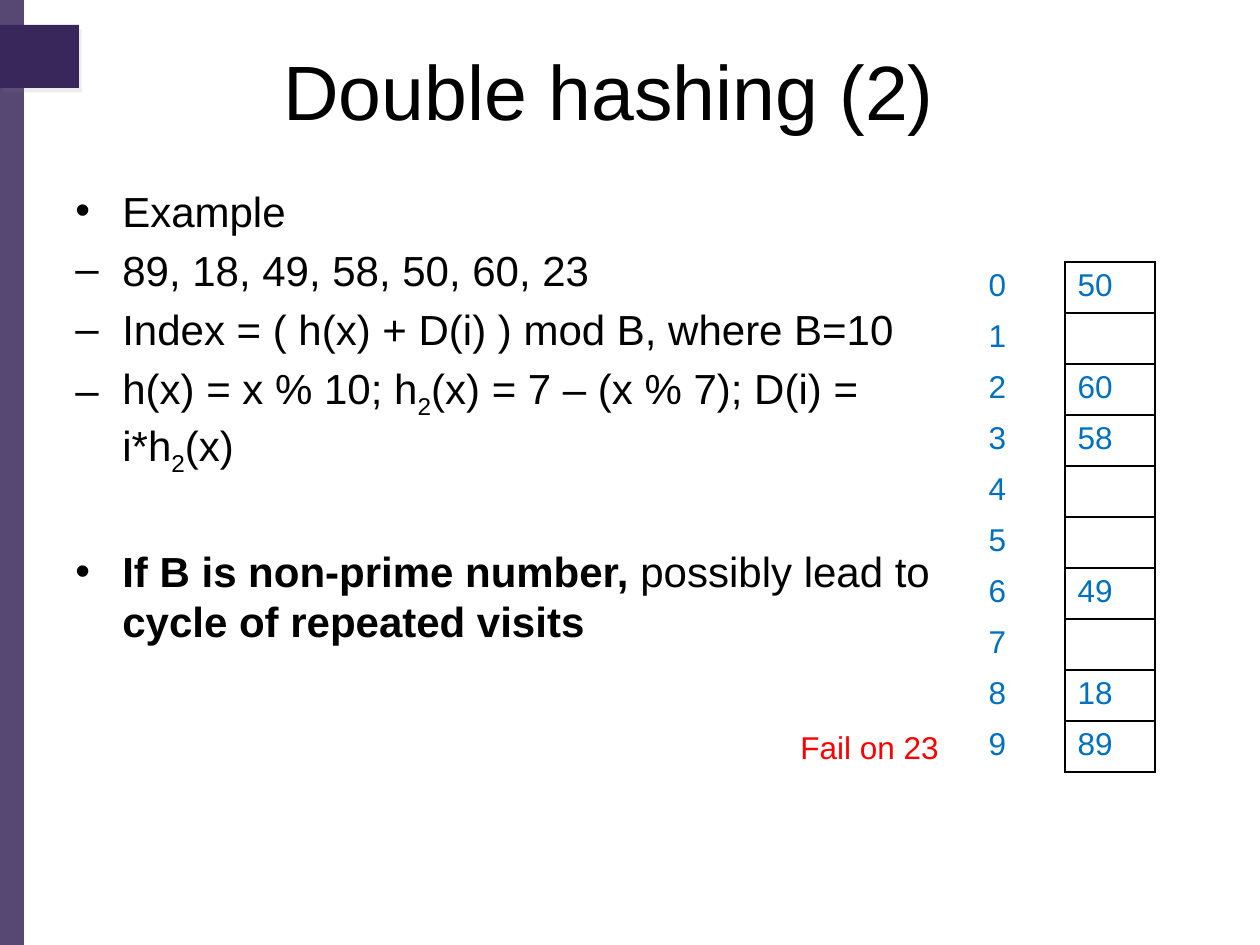
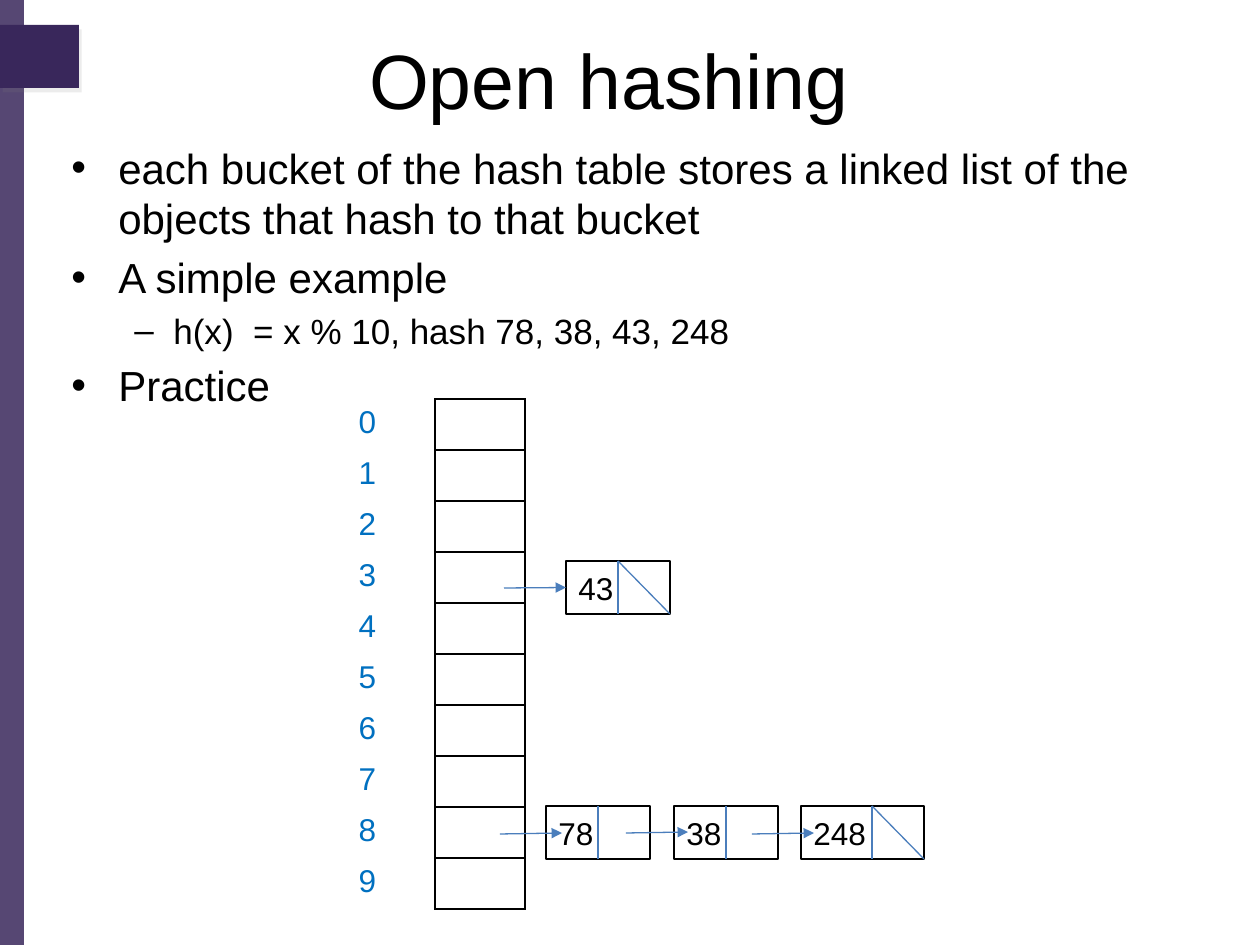
"""Build two slides on double hashing and open hashing."""
from dataclasses import dataclass

from lxml.etree import SubElement
from pptx import Presentation
from pptx.dml.color import RGBColor
from pptx.enum.shapes import MSO_CONNECTOR, MSO_SHAPE
from pptx.enum.text import MSO_ANCHOR, PP_ALIGN
from pptx.oxml.ns import qn
from pptx.util import Emu, Pt

SCALE = 914400 / 126
FONT = "Arial"
PURPLE, BLACK, RED = "39275B", "000000", "FF0000"
BLUE, STEEL, GRAY = "0070C0", "4B7EBC", "808080"
ROWS, ROW, HALF, TALL = 10, 51, 52, 53


@dataclass(frozen=True)
class Box:
    """A place on the slide in px."""
    left: int
    top: int
    width: int
    height: int


@dataclass(frozen=True)
class Piece:
    """A stretch of text with one look."""
    text: str
    bold: bool = False
    sub: bool = False


@dataclass(frozen=True)
class Point:
    """A bulleted paragraph."""
    words: tuple[Piece, ...]
    mark: str = "•"
    level: int = 0
    left: int = 47
    hang: int = 47
    size: int = 24
    gap: int = 5


@dataclass(frozen=True)
class Node:
    """A linked list node with a value and a link cell."""
    value: str
    left: int
    top: int
    width: int = 2 * HALF
    last: bool = False


@dataclass(frozen=True)
class Arrow:
    """An arrow, joined to a node when one is named."""
    start: tuple[int, int]
    end: tuple[int, int]
    node: str = ""


def px(count: int) -> Emu:
    """Turn px into EMU."""
    return Emu(round(count * SCALE))


def place(box: Box) -> tuple[Emu, ...]:
    """Give the four lengths of a box in EMU."""
    return tuple(px(n) for n in (box.left, box.top, box.width, box.height))


def paint(color, code: str) -> None:
    """Set a colour from a hex string."""
    color.rgb = RGBColor.from_string(code)


def style(para, size: int, code: str = BLACK) -> None:
    """Format all runs of a paragraph."""
    for run in para.runs:
        run.font.name = FONT
        run.font.size = Pt(size)
        paint(run.font.color, code)


def label(slide, box: Box, text: str, size: int, code: str = BLACK):
    """Add a text box with one line and return its frame."""
    frame = slide.shapes.add_textbox(*place(box)).text_frame
    frame.word_wrap = True
    frame.text = text
    style(frame.paragraphs[0], size, code)
    return frame


def block(slide, box: Box):
    """Add a plain rectangle without shadow."""
    shape = slide.shapes.add_shape(MSO_SHAPE.RECTANGLE, *place(box))
    shape.shadow.inherit = False
    return shape


def band(slide, box: Box):
    """Add a purple rectangle without outline."""
    shape = block(slide, box)
    shape.fill.solid()
    paint(shape.fill.fore_color, PURPLE)
    shape.line.fill.background()
    return shape._element.spPr


def start(deck, title: str, top: int):
    """Add a slide with its side bands and title."""
    slide = deck.slides.add_slide(deck.slide_layouts[6])
    side = band(slide, Box(0, 0, 24, 945))
    tint = side.find(qn("a:solidFill"))[0]
    SubElement(tint, qn("a:alpha"), val="85000")
    tab = band(slide, Box(0, 25, 79, 63))
    shade = SubElement(tab.find(qn("a:effectLst")), qn("a:outerShdw"), blurRad="0",
                       dist=str(Pt(3)), dir="3600000", algn="ctr", rotWithShape="0")
    tint = SubElement(shade, qn("a:srgbClr"), val=GRAY)
    SubElement(tint, qn("a:alpha"), val="15000")
    frame = label(slide, Box(42, top, 1134, 116), title, 44)
    frame.vertical_anchor = MSO_ANCHOR.MIDDLE
    frame.paragraphs[0].alignment = PP_ALIGN.CENTER
    return slide


def body(slide, box: Box, points: list[Point]) -> None:
    """Add the bulleted text."""
    frame = slide.shapes.add_textbox(*place(box)).text_frame
    frame.word_wrap = True
    for num, point in enumerate(points):
        para = frame.add_paragraph() if num else frame.paragraphs[0]
        para.level = point.level
        para.space_before = Pt(point.gap)
        for piece in point.words:
            run = para.add_run()
            run.text = piece.text
            run.font.bold = piece.bold
            if piece.sub:
                run._r.get_or_add_rPr().set("baseline", "-25000")
        style(para, point.size)
        props = para._p.get_or_add_pPr()
        props.set("marL", str(px(point.left)))
        props.set("indent", str(-px(point.hang)))
        SubElement(props, qn("a:buFont"), typeface=FONT)
        SubElement(props, qn("a:buChar"), char=point.mark)


def edge(cell, sides: str) -> None:
    """Draw black borders on the given sides of a cell."""
    props = cell._tc.get_or_add_tcPr()
    for side in sides:
        line = SubElement(props, qn(f"a:ln{side}"), w=str(Pt(1)))
        fill = SubElement(line, qn("a:solidFill"))
        SubElement(fill, qn("a:srgbClr"), val=BLACK)


def grid(slide, left: int, top: int, held: dict[int, str]) -> None:
    """Add the hash table with its bucket numbers."""
    box = Box(left, top, 179, ROWS * ROW)
    table = slide.shapes.add_table(ROWS, 2, *place(box)).table
    table.first_row = table.horz_banding = False
    for col, width in zip(table.columns, (89, 90)):
        col.width = px(width)
    for num, row in enumerate(table.rows):
        row.height = px(ROW)
        texts = (str(num), held.get(num, ""))
        for cell, text, sides in zip(row.cells, texts, ("R", "LRTB")):
            edge(cell, sides)
            cell.fill.background()
            cell.text_frame.text = text
            style(cell.text_frame.paragraphs[0], 18, BLUE)


def link(slide, head: tuple[int, int], tail: tuple[int, int], tip: bool = False):
    """Add a thin straight line, with an arrowhead if asked."""
    ends = (px(n) for n in (*head, *tail))
    line = slide.shapes.add_connector(MSO_CONNECTOR.STRAIGHT, *ends)
    paint(line.line.color, STEEL)
    line.line.width = Pt(0.75)
    if tip:
        SubElement(line.line._get_or_add_ln(), qn("a:tailEnd"), type="triangle")
    SubElement(line._element.spPr, qn("a:effectLst"))
    return line


def draw(slide, node: Node):
    """Draw a list node and return its rectangle."""
    shape = block(slide, Box(node.left, node.top, node.width, TALL))
    shape.fill.background()
    paint(shape.line.color, BLACK)
    shape.line.width = Pt(0.75)
    frame = shape.text_frame
    frame.word_wrap = True
    frame.vertical_anchor = MSO_ANCHOR.MIDDLE
    frame.text = node.value
    frame.paragraphs[0].alignment = PP_ALIGN.LEFT
    style(frame.paragraphs[0], 18)
    right, base = node.left + node.width, node.top + TALL
    split = right - HALF
    wall = link(slide, (split, node.top), (split, base))
    if node.width == 2 * HALF:
        wall.begin_connect(shape, 0)
        wall.end_connect(shape, 2)
    if node.last:
        link(slide, (split, node.top), (right, base))
    return shape


def double(deck) -> None:
    """Build the double hashing slide."""
    slide = start(deck, "Double hashing (2)", 32)
    two = Piece("2", sub=True)
    body(slide, Box(63, 179, 882, 724), [
        Point((Piece("Example"),)),
        Point((Piece("89, 18, 49, 58, 50, 60, 23"),), "–", 1),
        Point((Piece("Index = ( h(x) + D(i) ) mod B, where B=10"),), "–", 1),
        Point((Piece("h(x) = x % 10; h"), two, Piece("(x) = 7 – (x % 7); D(i) = i*h"),
               two, Piece("(x)")), "–", 1),
        Point((Piece("If B is non-prime number, ", True), Piece("possibly lead to "),
               Piece("cycle of repeated visits", True)), gap=39),
    ])
    label(slide, Box(788, 722, 178, 50), "Fail on 23", 18, RED)
    grid(slide, 976, 262, {0: "50", 2: "60", 3: "58", 6: "49", 8: "18", 9: "89"})


def chain(deck) -> None:
    """Build the open hashing slide."""
    slide = start(deck, "Open hashing", 21)
    body(slide, Box(59, 136, 1134, 305), [
        Point((Piece("each bucket of the hash table stores a linked list of the "
                     "objects that hash to that bucket"),)),
        Point((Piece("A simple example"),)),
        Point((Piece("h(x)  = x % 10, hash 78, 38, 43, 248"),), "–", 1, 102, 39, 20, 4),
        Point((Piece("Practice"),)),
    ])
    grid(slide, 346, 399, {})
    nodes = [
        Node("43", 566, 561, last=True),
        Node("78", 546, 806),
        Node("38", 674, 806),
        Node("248", 801, 806, 123, True),
    ]
    shapes = {node.value: draw(slide, node) for node in nodes}
    arrows = [
        Arrow((504, 588), (566, 587), "43"),
        Arrow((500, 834), (562, 833)),
        Arrow((626, 833), (688, 832)),
        Arrow((752, 834), (814, 833)),
    ]
    for arrow in arrows:
        line = link(slide, arrow.start, arrow.end, True)
        if arrow.node:
            line.end_connect(shapes[arrow.node], 1)


def main() -> None:
    """Build and save the deck."""
    deck = Presentation()
    deck.slide_width, deck.slide_height = px(1260), px(945)
    double(deck)
    chain(deck)
    deck.save("out.pptx")


if __name__ == "__main__":
    main()
